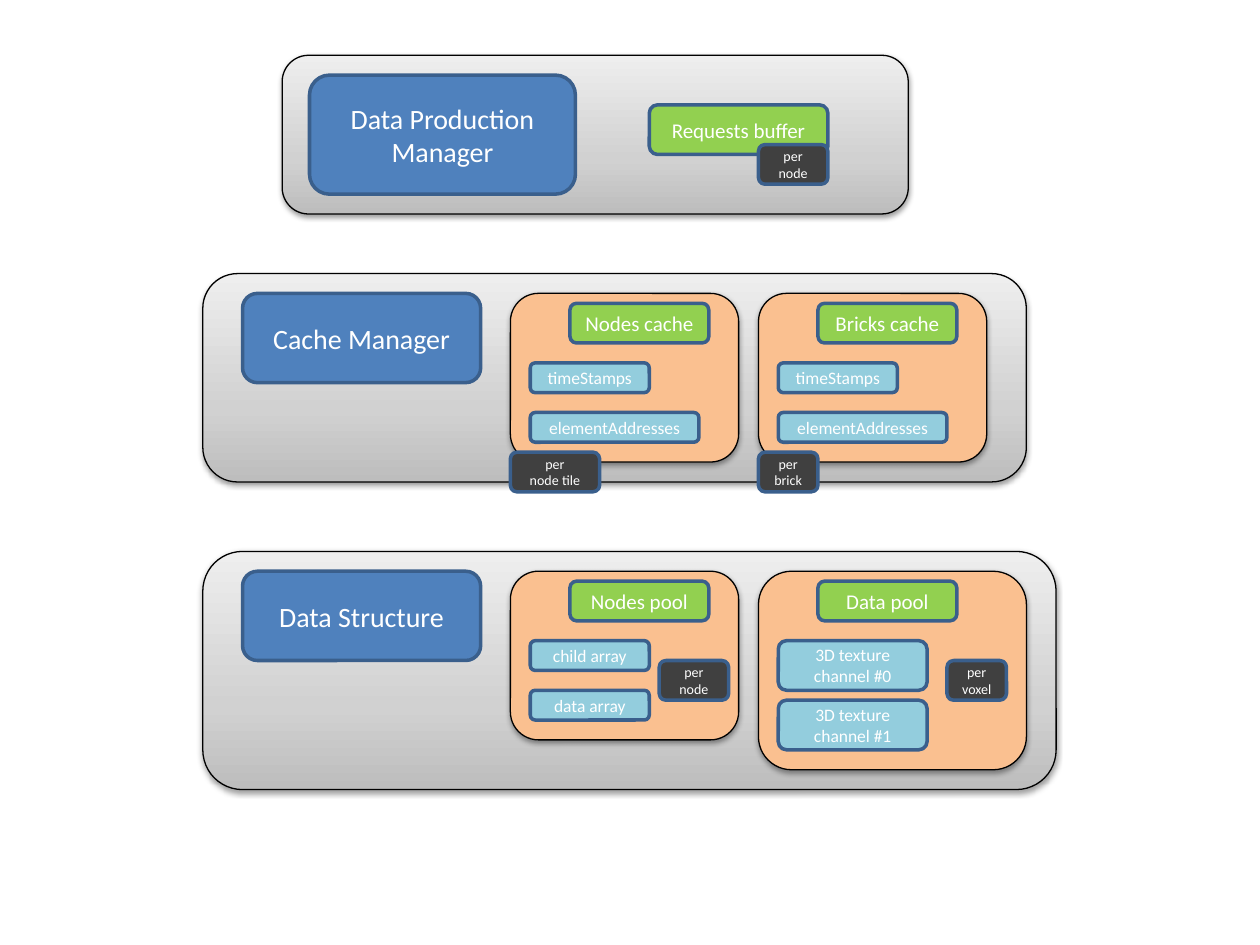
from lxml import etree
from pptx import Presentation
from pptx.dml.color import RGBColor
from pptx.enum.shapes import MSO_SHAPE as Shape
from pptx.enum.text import MSO_ANCHOR as Anchor, PP_ALIGN as Align
from pptx.oxml.ns import qn
from pptx.util import Pt

STEP = 5.67
ORIGIN = (115.9, 31.6)
STYLES = {
    "title": ("4F81BD", 16),
    "store": ("92D050", 12),
    "field": ("93CDDD", 10),
    "tag": ("404040", 8),
}
PANEL_STOPS = [(0, "BDBDBD"), (35, "D1D1D1"), (100, "EEEEEE")]

# Boxes are (left, top, width, height) in grid steps within their parent.
CACHE_FIELDS = [
    ("field", "timeStamps", (2, 7, 12, 3)),
    ("field", "elementAddresses", (2, 12, 17, 3)),
]
STORE_BOX = (6, 1, 14, 4)
MANAGER_BOX = (4, 2, 24, 9)

PANELS = [
    {
        "box": (8, 0, 63.1, 16),
        "parts": [
            ("title", "Data Production\nManager", (2.75, 2, 26.8, 12)),
            ("store", "Requests buffer", (37, 5, 18, 5)),
            ("tag", "per\nnode", (48, 9, 7, 4)),
        ],
        "groups": [],
    },
    {
        "box": (0, 22, 83, 21),
        "parts": [("title", "Cache Manager", MANAGER_BOX)],
        "groups": [
            ((31, 2, 23, 17), [
                ("store", "Nodes cache", STORE_BOX),
                *CACHE_FIELDS,
                ("tag", "per\nnode tile", (0, 16, 9, 4)),
            ]),
            ((56, 2, 23, 17), [
                ("store", "Bricks cache", STORE_BOX),
                *CACHE_FIELDS,
                ("tag", "per\nbrick", (0, 16, 6, 4)),
            ]),
        ],
    },
    {
        "box": (0, 50, 86, 24),
        "parts": [("title", "Data Structure", MANAGER_BOX)],
        "groups": [
            ((31, 2, 23, 17), [
                ("store", "Nodes pool", STORE_BOX),
                ("field", "child array", (2, 7, 12, 3)),
                ("field", "data array", (2, 12, 12, 3)),
                ("tag", "per\nnode", (15, 9, 7, 4)),
            ]),
            ((56, 2, 27, 20), [
                ("store", "Data pool", STORE_BOX),
                ("field", "3D texture channel #0", (2, 7, 15, 5)),
                ("field", "3D texture channel #1", (2, 13, 15, 5)),
                ("tag", "per\nvoxel", (19, 9, 6, 4)),
            ]),
        ],
    },
]


def color(value):
    return RGBColor.from_string(value)


def within(parent, box):
    return (parent[0] + box[0], parent[1] + box[1], box[2], box[3])


def add_box(box, line, weight, fill=None):
    left, top, width, height = (value * STEP for value in box)
    shape = slide.shapes.add_shape(
        Shape.ROUNDED_RECTANGLE, Pt(ORIGIN[0] + left), Pt(ORIGIN[1] + top), Pt(width), Pt(height))
    shape.shadow.inherit = False
    if fill:
        shape.fill.solid()
        shape.fill.fore_color.rgb = color(fill)
    shape.line.color.rgb = color(line)
    shape.line.width = Pt(weight)
    return shape


def write(shape, text, size, font="Calibri", ink="FFFFFF"):
    frame = shape.text_frame
    frame.word_wrap = True
    frame.vertical_anchor = Anchor.MIDDLE
    frame.text = text
    for paragraph in frame.paragraphs:
        paragraph.alignment = Align.CENTER
        for run in paragraph.runs:
            run.font.name = font
            run.font.size = Pt(size)
            run.font.color.rgb = color(ink)


def add_color(parent, value):
    return etree.SubElement(parent, qn("a:srgbClr"), val=value)


def add_container(box, fill=None):
    container = add_box(box, "000000", 0.75, fill)
    effects = container._element.spPr.find(qn("a:effectLst"))
    shadow = etree.SubElement(
        effects, qn("a:outerShdw"), blurRad=str(Pt(3.15)), dist=str(Pt(1.57)),
        dir="5400000", rotWithShape="0")
    etree.SubElement(add_color(shadow, "000000"), qn("a:alpha"), val="38000")
    return container


def add_panel(box):
    panel = add_container(box)
    panel.fill.gradient()
    panel.fill.gradient_angle = 90
    stops = panel._element.spPr.find(".//" + qn("a:gsLst"))
    for stop in list(stops):
        stops.remove(stop)
    for position, value in PANEL_STOPS:
        add_color(etree.SubElement(stops, qn("a:gs"), pos=str(position * 1000)), value)


def add_parts(parent, parts):
    for kind, text, box in parts:
        fill, size = STYLES[kind]
        write(add_box(within(parent, box), "3A5F8C", 2, fill), text, size)


deck = Presentation()
deck.slide_width, deck.slide_height = Pt(720), Pt(540)
slide = deck.slides.add_slide(deck.slide_layouts[6])

for panel in PANELS:
    add_panel(panel["box"])
    add_parts(panel["box"], panel["parts"])
    for group, parts in panel["groups"]:
        group_box = within(panel["box"], group)
        add_container(group_box, "FAC090")
        add_parts(group_box, parts)

deck.save("out.pptx")
